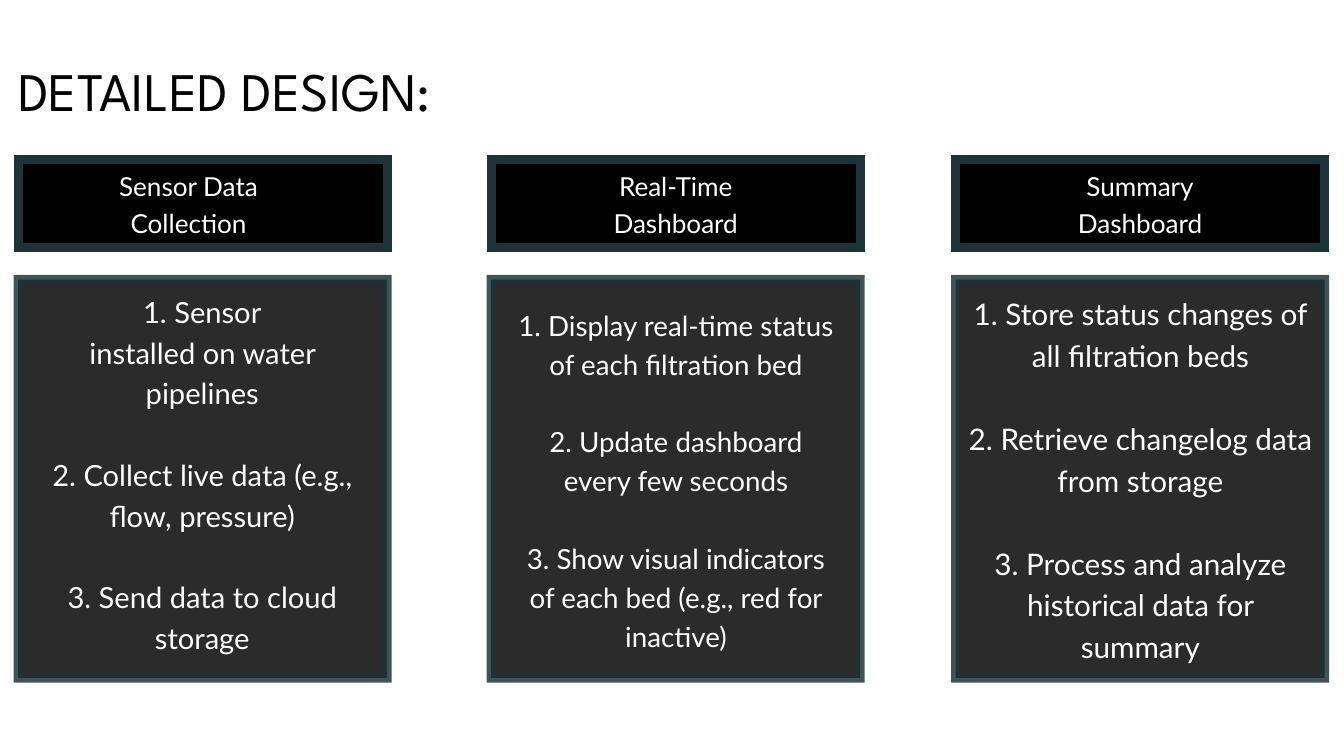
from dataclasses import dataclass

from lxml import etree
from pptx import Presentation
from pptx.dml.color import RGBColor
from pptx.enum.shapes import MSO_SHAPE
from pptx.enum.text import PP_ALIGN
from pptx.oxml.ns import qn
from pptx.slide import Slide
from pptx.util import Inches, Pt

RECTANGLE = MSO_SHAPE.RECTANGLE
LEFT, CENTER = PP_ALIGN.LEFT, PP_ALIGN.CENTER

BLACK = RGBColor(0x00, 0x00, 0x00)
WHITE = RGBColor(0xFF, 0xFF, 0xFF)
TEAL = RGBColor(0x1C, 0x33, 0x37)

COLUMN_WIDTH = 5.49
HEADER_TOP, HEADER_HEIGHT = 2.38, 1.31
PANEL_TOP, PANEL_HEIGHT = 4.16, 5.93


@dataclass
class Column:
    left: float
    heading: list
    heading_left: float
    steps: list
    steps_box: tuple
    size: float
    pitch: float


COLUMNS = [
    Column(0.27, ["Sensor Data", "Collection"], 0.06,
           ["1. Sensor", "installed on water pipelines",
            "2. Collect live data (e.g., flow, pressure)",
            "3. Send data to cloud storage"],
           (0.53, 4.29, 4.96, 6.03), 31.2, 43.7),
    Column(7.31, ["Real-Time", "Dashboard"], 7.31,
           ["1. Display real-time status of each filtration bed",
            "2. Update dashboard every few seconds",
            "3. Show visual indicators of each bed (e.g., red for inactive)"],
           (7.7, 4.51, 4.72, 5.16), 29.7, 41.6),
    Column(14.22, ["Summary", "Dashboard"], 14.22,
           ["1. Store status changes of all filtration beds",
            "2. Retrieve changelog data from storage",
            "3. Process and analyze historical data for summary"],
           (14.38, 4.32, 5.18, 5.52), 31.8, 44.5),
]


@dataclass
class DesignSlide:
    slide: Slide
    body_font: str = "Lato"
    title_font: str = "League Spartan"
    border: float = 9.75

    def frame(self, left, top, width, height, opacity=100):
        """Draw a black box with a teal border; opacity is in percent."""
        box = self.slide.shapes.add_shape(
            RECTANGLE, Inches(left), Inches(top), Inches(width), Inches(height))
        box.shadow.inherit = False
        box.fill.solid()
        box.fill.fore_color.rgb = BLACK
        box.line.color.rgb = TEAL
        box.line.width = Pt(self.border)
        outline = box.line._get_or_add_ln()
        etree.SubElement(outline, qn("a:miter"), lim="800000")
        if opacity < 100:
            for color in box._element.spPr.iter(qn("a:srgbClr")):
                etree.SubElement(color, qn("a:alpha"), val=str(opacity * 1000))

    def text(self, bounds, lines, size, pitch, font=None, color=WHITE, align=CENTER):
        """Write one paragraph per line, with a line's gap before each later numbered step."""
        box = self.slide.shapes.add_textbox(*(Inches(v) for v in bounds))
        frame = box.text_frame
        frame.word_wrap = True
        frame.margin_left = frame.margin_right = 0
        frame.margin_top = frame.margin_bottom = 0
        frame.text = "\n".join(lines)
        for index, paragraph in enumerate(frame.paragraphs):
            paragraph.alignment = align
            paragraph.line_spacing = Pt(pitch)
            if index and paragraph.text[0].isdigit():
                paragraph.space_before = Pt(pitch)
            paragraph.font.name = font or self.body_font
            paragraph.font.size = Pt(size)
            paragraph.font.color.rgb = color


def main():
    deck = Presentation()
    deck.slide_width, deck.slide_height = Inches(20), Inches(11.25)
    design = DesignSlide(deck.slides.add_slide(deck.slide_layouts[6]))

    design.text((0.27, 0.69, 7.76, 1.07), ["DETAILED DESIGN:"], 58.1, 81.4,
                design.title_font, BLACK, LEFT)
    for column in COLUMNS:
        design.frame(column.left, HEADER_TOP, COLUMN_WIDTH, HEADER_HEIGHT)
        design.frame(column.left, PANEL_TOP, COLUMN_WIDTH, PANEL_HEIGHT, opacity=83)
        design.text((column.heading_left, 2.46, COLUMN_WIDTH, 1.08),
                    column.heading, 28, 39.2)
        design.text(column.steps_box, column.steps, column.size, column.pitch)

    deck.save("out.pptx")


if __name__ == "__main__":
    main()
